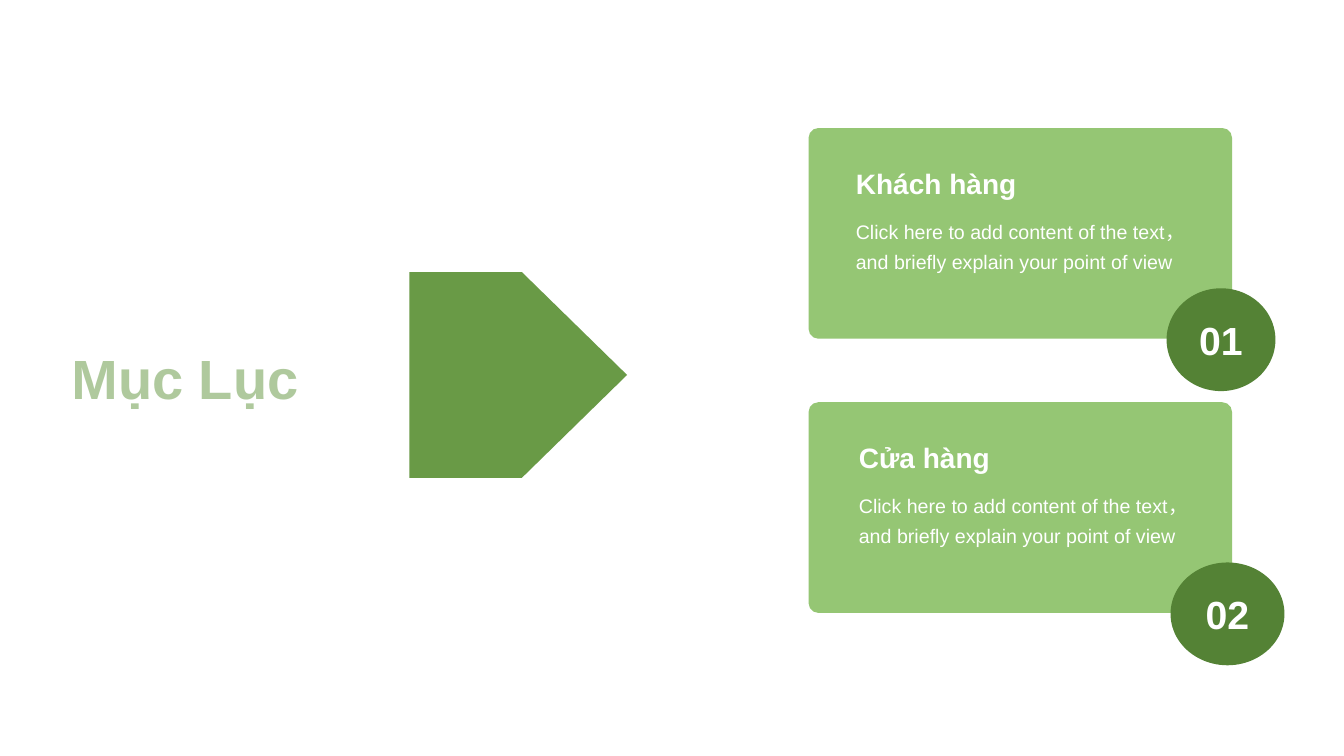
from dataclasses import dataclass

from lxml import etree
from pptx import Presentation
from pptx.dml.color import RGBColor
from pptx.dml.fill import FillFormat
from pptx.enum.shapes import MSO_SHAPE
from pptx.enum.text import MSO_ANCHOR, MSO_AUTO_SIZE, PP_ALIGN
from pptx.oxml.ns import qn
from pptx.shapes.autoshape import Shape
from pptx.slide import Slide
from pptx.util import Emu, Pt

EMU_PER_PX = 9144  # 100 px to the inch
FONT = "Arial"
COLORS = {
    "accent": "61953D",
    "card": "95C674",
    "badge": "548235",
    "text": "FFFFFF",
}
PENTAGON = MSO_SHAPE.PENTAGON
ROUNDED = MSO_SHAPE.ROUNDED_RECTANGLE
OVAL = MSO_SHAPE.OVAL
LEFT, CENTER = PP_ALIGN.LEFT, PP_ALIGN.CENTER
TOP, MIDDLE = MSO_ANCHOR.TOP, MSO_ANCHOR.MIDDLE
FIT_SHAPE = MSO_AUTO_SIZE.SHAPE_TO_FIT_TEXT


@dataclass(frozen=True)
class Box:
    left: int
    top: int
    width: int
    height: int

    def emu(self) -> tuple[Emu, Emu, Emu, Emu]:
        sides = (self.left, self.top, self.width, self.height)
        return tuple(Emu(side * EMU_PER_PX) for side in sides)


@dataclass(frozen=True)
class Card:
    number: str
    heading: str
    body: str
    top: int
    text_left: int
    heading_width: int
    badge_left: int
    badge_width: int


BODY = "Click here to add content of the text，and briefly explain your point of view"
CARDS = (
    Card("01", "Khách hàng", BODY, 127, 839, 185, 1157, 108),
    Card("02", "Cửa hàng", BODY, 399, 842, 155, 1161, 113),
)


def color(name: str) -> RGBColor:
    return RGBColor.from_string(COLORS[name])


def set_opacity(fill: FillFormat, percent: int) -> None:
    """Add an alpha value to a solid fill of a shape or a font."""
    rgb = fill._xPr.find(f"{qn('a:solidFill')}/{qn('a:srgbClr')}")
    etree.SubElement(rgb, qn("a:alpha"), val=str(percent * 1000))


def add_block(slide: Slide, preset: MSO_SHAPE, box: Box, color_name: str) -> Shape:
    shape = slide.shapes.add_shape(preset, *box.emu())
    shape.shadow.inherit = False
    shape.fill.solid()
    shape.fill.fore_color.rgb = color(color_name)
    shape.line.fill.background()
    return shape


def write(shape: Shape, text: str, size: int, color_name: str = "text",
          bold: bool = False, align: PP_ALIGN = LEFT,
          anchor: MSO_ANCHOR = TOP, spacing: float = 1.0) -> None:
    frame = shape.text_frame
    frame.text = text
    frame.vertical_anchor = anchor
    paragraph = frame.paragraphs[0]
    paragraph.alignment = align
    paragraph.line_spacing = spacing
    font = paragraph.font
    font.name, font.size, font.bold = FONT, Pt(size), bold
    font.color.rgb = color(color_name)


def add_label(slide: Slide, box: Box, text: str, size: int,
              bold: bool, wrap: bool) -> None:
    label = slide.shapes.add_textbox(*box.emu())
    label.text_frame.word_wrap = wrap
    label.text_frame.auto_size = FIT_SHAPE
    write(label, text, size, bold=bold, spacing=1.3)


def add_title(slide: Slide) -> None:
    title = slide.shapes.title
    title.left, title.top, title.width, title.height = Box(61, 336, 300, 77).emu()
    write(title, "Mục Lục", 40, "accent", bold=True)
    title.text_frame.word_wrap = True
    title.text_frame.auto_size = FIT_SHAPE
    font = title.text_frame.paragraphs[0].runs[0].font
    font.color.rgb = color("accent")
    set_opacity(font.fill, 50)


def add_card(slide: Slide, card: Card) -> None:
    panel = add_block(slide, ROUNDED, Box(802, card.top, 420, 209), "card")
    panel.adjustments[0] = 0.046
    badge_box = Box(card.badge_left, card.top + 159, card.badge_width, 102)
    badge = add_block(slide, OVAL, badge_box, "badge")
    write(badge, card.number, 28, bold=True, align=CENTER, anchor=MIDDLE)
    body_box = Box(card.text_left, card.top + 79, 347, 69)
    add_label(slide, body_box, card.body, 14, bold=False, wrap=True)
    heading_box = Box(card.text_left, card.top + 23, card.heading_width, 54)
    add_label(slide, heading_box, card.heading, 20, bold=True, wrap=False)


def main() -> None:
    presentation = Presentation()
    presentation.slide_width = Emu(1333 * EMU_PER_PX)
    presentation.slide_height = Emu(750 * EMU_PER_PX)
    title_only = presentation.slide_layouts.get_by_name("Title Only")
    slide = presentation.slides.add_slide(title_only)

    add_title(slide)
    arrow = add_block(slide, PENTAGON, Box(406, 270, 216, 204), "accent")
    arrow.adjustments[0] = 0.511
    set_opacity(arrow.fill, 95)
    for card in CARDS:
        add_card(slide, card)

    presentation.save("out.pptx")


if __name__ == "__main__":
    main()
